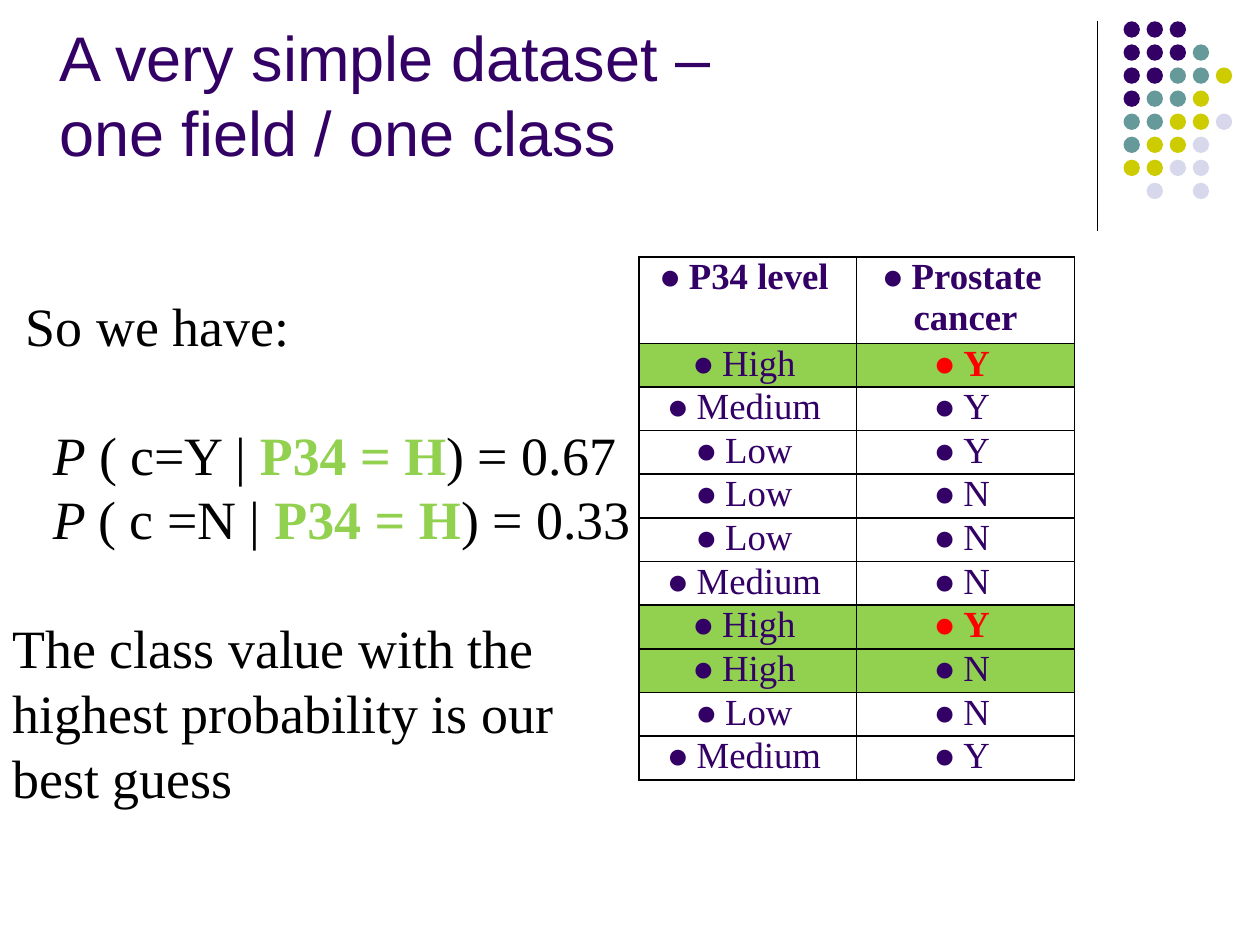
"""Builds the slide on estimating class probabilities from a one-field dataset."""
from dataclasses import dataclass

import lxml.etree
import pptx
import pptx.dml.color
import pptx.enum.shapes
import pptx.enum.text
import pptx.oxml.ns
import pptx.util

Cm = pptx.util.Cm
Pt = pptx.util.Pt
qn = pptx.oxml.ns.qn


@dataclass(frozen=True)
class Theme:
    purple: str = "330066"
    teal: str = "669999"
    olive: str = "CCCC00"
    pale: str = "D8D8EC"
    green: str = "92D050"
    red: str = "FF0000"
    black: str = "000000"
    white: str = "FFFFFF"
    heading: str = "Arial"
    serif: str = "Times New Roman"
    title_size: float = 36
    title_pitch: float = 42.9
    body_size: float = 30.8
    body_pitch: float = 36.9
    cell_size: float = 21


@dataclass(frozen=True)
class Span:
    text: str
    italic: bool = False
    bold: bool = False
    color: str = Theme.black


@dataclass(frozen=True)
class Line:
    spans: tuple[Span, ...]
    indent: float = 0
    gap: bool = False


@dataclass(frozen=True)
class Record:
    level: str
    cancer: str

    @property
    def high(self) -> bool:
        return self.level == "High"


THEME = Theme()
DOTS = ("PPP", "PPPT", "PPTTO", "PTTO", "TTOOL", "TOOL", "OOLL", " L L")
DOT_COLORS = {"P": THEME.purple, "T": THEME.teal, "O": THEME.olive, "L": THEME.pale}
EVIDENCE = Span("P34 = H", bold=True, color=THEME.green)
LINES = (
    Line((Span("So we have:"),), 0.27),
    Line((Span("P", italic=True), Span(" ( c=Y | "), EVIDENCE, Span(") = 0.67")), 0.81, True),
    Line((Span("P ", italic=True), Span("( c =N | "), EVIDENCE, Span(") = 0.33")), 0.81),
    Line((Span("The class value with the"),), gap=True),
    Line((Span("highest probability is our"),)),
    Line((Span("best guess"),)),
)
RECORDS = tuple(Record(*pair.split()) for pair in (
    "High Y", "Medium Y", "Low Y", "Low N", "Low N",
    "Medium N", "High Y", "High N", "Low N", "Medium Y"))


def rgb(color: str) -> pptx.dml.color.RGBColor:
    """Return the colour for a hex string."""
    return pptx.dml.color.RGBColor.from_string(color)


def style(r, font: str, size: float, color: str, bold: bool = False, italic: bool = False) -> None:
    """Format one run."""
    r.font.name, r.font.size = font, Pt(size)
    r.font.bold, r.font.italic = bold, italic
    r.font.color.rgb = rgb(color)


def place(sp, left: float, top: float, width: float, height: float) -> None:
    """Move and size a shape, in centimetres."""
    sp.left, sp.top, sp.width, sp.height = Cm(left), Cm(top), Cm(width), Cm(height)


def draw_title(s, lines: tuple[str, ...]) -> None:
    """Fill the title placeholder."""
    sp = s.shapes.title
    place(sp, 0.94, 0.53, 24.46, 3)
    tf = sp.text_frame
    tf.auto_size = pptx.enum.text.MSO_AUTO_SIZE.NONE
    tf.vertical_anchor = pptx.enum.text.MSO_ANCHOR.BOTTOM
    p = tf.paragraphs[0]
    p.alignment = pptx.enum.text.PP_ALIGN.LEFT
    p.line_spacing = Pt(THEME.title_pitch)
    for i, text in enumerate(lines):
        if i:
            p.add_line_break()
        r = p.add_run()
        r.text = text
        style(r, THEME.heading, THEME.title_size, THEME.purple)


def draw_body(s, lines: tuple[Line, ...]) -> None:
    """Fill the body placeholder."""
    sp = s.placeholders[1]
    place(sp, 0, 4.45, 13.11, 13.41)
    tf = sp.text_frame
    tf.auto_size = pptx.enum.text.MSO_AUTO_SIZE.NONE
    tf.word_wrap = True
    tf.margin_top, tf.margin_right = Cm(1.44), 0
    for i, line in enumerate(lines):
        p = tf.add_paragraph() if i else tf.paragraphs[0]
        pPr = p._p.get_or_add_pPr()
        pPr.set("marL", str(Cm(line.indent)))
        pPr.set("indent", "0")
        lxml.etree.SubElement(pPr, qn("a:buNone"))
        p.line_spacing = Pt(THEME.body_pitch)
        p.space_before = Pt(THEME.body_pitch if line.gap else 0)
        for span in line.spans:
            r = p.add_run()
            r.text = span.text
            style(r, THEME.serif, THEME.body_size, span.color, span.bold, span.italic)


def draw_cell(cell, text: str, fill: str, color: str, bold: bool) -> None:
    """Fill one bulleted, bordered table cell."""
    cell.fill.solid()
    cell.fill.fore_color.rgb = rgb(fill)
    cell.margin_left = cell.margin_right = cell.margin_top = cell.margin_bottom = 0
    p = cell.text_frame.paragraphs[0]
    p.alignment = pptx.enum.text.PP_ALIGN.CENTER
    pPr = p._p.get_or_add_pPr()
    lxml.etree.SubElement(pPr, qn("a:buClrTx"))
    lxml.etree.SubElement(pPr, qn("a:buSzPct"), val="100000")
    lxml.etree.SubElement(pPr, qn("a:buFont"), typeface=THEME.serif)
    lxml.etree.SubElement(pPr, qn("a:buChar"), char="●")
    r = p.add_run()
    r.text = text
    style(r, THEME.serif, THEME.cell_size, color, bold)
    tcPr = cell._tc.get_or_add_tcPr()
    for i, side in enumerate(("lnL", "lnR", "lnT", "lnB")):
        ln = lxml.etree.Element(qn(f"a:{side}"), w=str(Pt(1)))
        solid = lxml.etree.SubElement(ln, qn("a:solidFill"))
        lxml.etree.SubElement(solid, qn("a:srgbClr"), val=THEME.black)
        tcPr.insert(i, ln)


def draw_table(s, records: tuple[Record, ...]) -> None:
    """Draw the dataset, with the high-level records highlighted."""
    sp = s.shapes.add_table(len(records) + 1, 2, Cm(12.88), Cm(5.18), Cm(8.78), Cm(10.6))
    table = sp.table
    for i, row in enumerate(table.rows):
        row.height = Cm(0.88 if i else 1.74)
    for j, text in enumerate(("P34 level", "Prostate cancer")):
        draw_cell(table.cell(0, j), text, THEME.white, THEME.purple, True)
    for i, record in enumerate(records, 1):
        fill = THEME.green if record.high else THEME.white
        hit = record.high and record.cancer == "Y"
        draw_cell(table.cell(i, 0), record.level, fill, THEME.purple, False)
        draw_cell(table.cell(i, 1), record.cancer, fill, THEME.red if hit else THEME.purple, hit)


def draw_ornament(s) -> None:
    """Draw the corner rule and its grid of dots."""
    rule = s.shapes.add_connector(
        pptx.enum.shapes.MSO_CONNECTOR.STRAIGHT, Cm(22.12), Cm(0.43), Cm(22.12), Cm(4.65))
    rule.line.color.rgb = rgb(THEME.black)
    rule.line.width = Pt(0.75)
    lxml.etree.SubElement(rule._element.spPr, qn("a:effectLst"))
    left, top, pitch, size = 22.65, 0.43, 0.465, 0.33
    for i, row in enumerate(DOTS):
        for j, key in enumerate(row):
            if key in DOT_COLORS:
                dot = s.shapes.add_shape(
                    pptx.enum.shapes.MSO_SHAPE.OVAL, Cm(left + j * pitch),
                    Cm(top + i * pitch), Cm(size), Cm(size))
                dot.shadow.inherit = False
                dot.fill.solid()
                dot.fill.fore_color.rgb = rgb(DOT_COLORS[key])
                dot.line.fill.background()


def main() -> None:
    """Build and save the slide."""
    prs = pptx.Presentation()
    prs.slide_width, prs.slide_height = Cm(25.4), Cm(19.05)
    s = prs.slides.add_slide(prs.slide_layouts[1])
    draw_ornament(s)
    draw_title(s, ("A very simple dataset –", "one field / one class"))
    draw_table(s, RECORDS)
    draw_body(s, LINES)
    prs.save("out.pptx")


if __name__ == "__main__":
    main()
